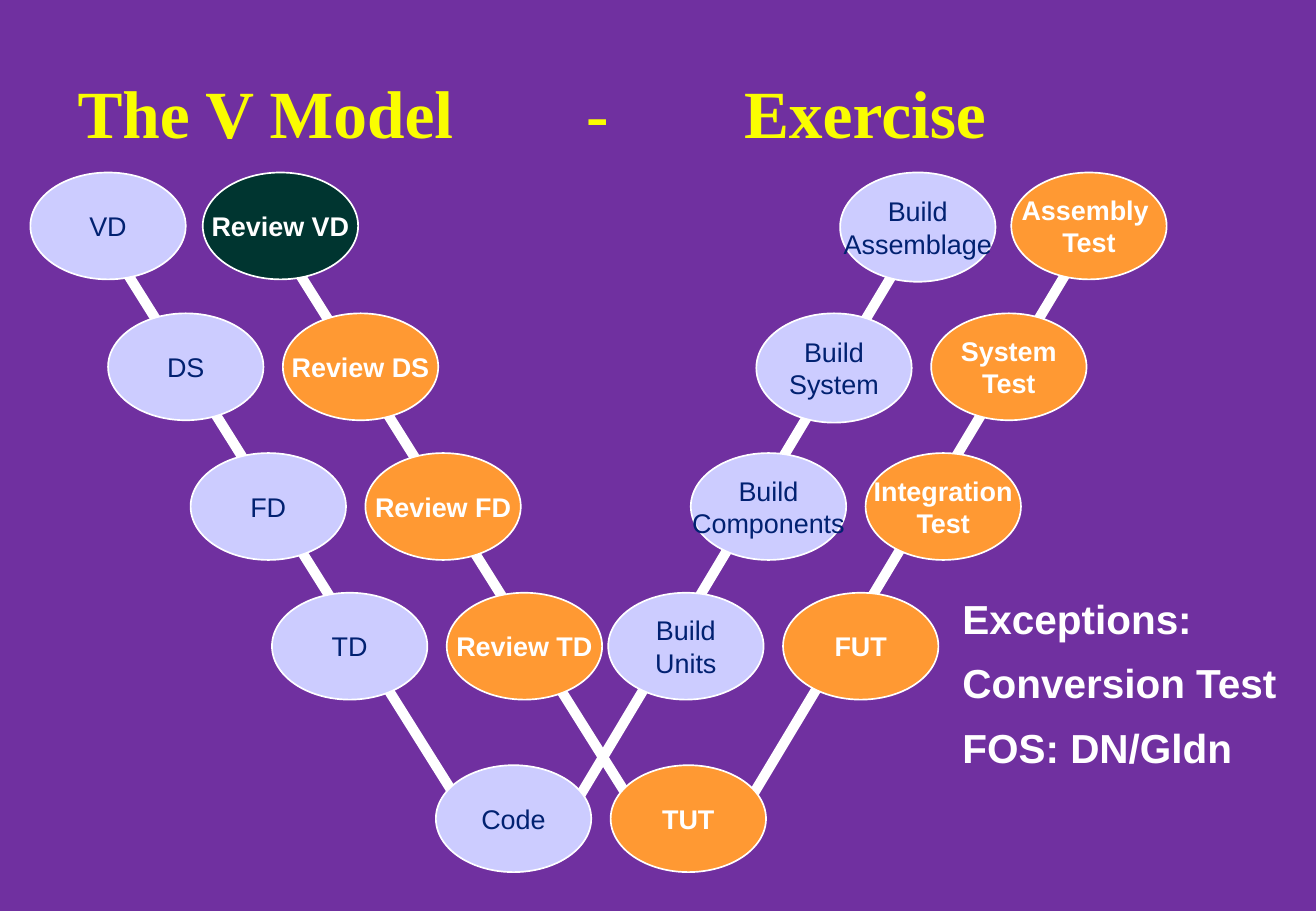
"""Build the V Model exercise slide."""
from dataclasses import dataclass

import lxml.etree
import pptx
import pptx.dml.color
import pptx.enum.shapes
import pptx.enum.text
import pptx.oxml.ns
import pptx.shapes.group
import pptx.slide
import pptx.text.text
import pptx.util

Inches = pptx.util.Inches
COLORS = {
    "background": "7030A0",
    "title": "FAFD00",
    "white": "FFFFFF",
    "build": "CCCCFF",
    "navy": "012171",
    "test": "FF9933",
    "review": "003530",
}
ROW_TOPS = (1.42, 2.58, 3.73, 4.88, 6.3)
STAGE_WIDTH, STAGE_HEIGHT, TALL_HEIGHT = 1.28, 0.88, 0.9


@dataclass
class Stage:
    label: str
    left: float
    row: int
    fill: str
    height: float = STAGE_HEIGHT


@dataclass
class Arm:
    start: tuple[float, float]
    end: tuple[float, float]


@dataclass
class VShape:
    arms: list[Arm]
    stages: list[Stage]
    text_color: str
    bold: bool


DEVELOPMENT = VShape(
    [Arm((0.89, 2), (3.89, 6.78)), Arm((7.46, 2.08), (4.64, 6.78))],
    [
        Stage("VD", 0.25, 0, "build"),
        Stage("DS", 0.89, 1, "build"),
        Stage("FD", 1.57, 2, "build"),
        Stage("TD", 2.24, 3, "build"),
        Stage("Code", 3.59, 4, "build"),
        Stage("Build\nUnits", 5.01, 3, "build"),
        Stage("Build\nComponents", 5.69, 2, "build"),
        Stage("Build\nSystem", 6.23, 1, "build", TALL_HEIGHT),
        Stage("Build\nAssemblage", 6.92, 0, "build", TALL_HEIGHT),
    ],
    "navy",
    False,
)
VERIFICATION = VShape(
    [Arm((2.2, 1.83), (5.31, 6.78)), Arm((8.83, 2.17), (6.06, 6.78))],
    [
        Stage("Review VD", 1.67, 0, "review"),
        Stage("Review DS", 2.33, 1, "test"),
        Stage("Review FD", 3.01, 2, "test"),
        Stage("Review TD", 3.68, 3, "test"),
        Stage("TUT", 5.03, 4, "test"),
        Stage("FUT", 6.45, 3, "test"),
        Stage("Integration\nTest", 7.13, 2, "test"),
        Stage("System\nTest", 7.67, 1, "test"),
        Stage("Assembly \nTest", 8.33, 0, "test"),
    ],
    "white",
    True,
)


def rgb(name: str) -> pptx.dml.color.RGBColor:
    """Return a palette colour."""
    return pptx.dml.color.RGBColor.from_string(COLORS[name])


def set_font(paragraph: pptx.text.text._Paragraph, typeface: str, size: int,
             color: str, bold: bool) -> None:
    """Set the font of a whole paragraph."""
    paragraph.font.name = typeface
    paragraph.font.size = pptx.util.Pt(size)
    paragraph.font.color.rgb = rgb(color)
    paragraph.font.bold = bold


def draw_arm(group: pptx.shapes.group.GroupShape, arm: Arm) -> None:
    """Draw one side of a V as a thick line."""
    connector = group.shapes.add_connector(
        pptx.enum.shapes.MSO_CONNECTOR.STRAIGHT,
        *(Inches(value) for value in (*arm.start, *arm.end)))
    connector.line.color.rgb = rgb("white")
    connector.line.width = pptx.util.Pt(6)
    lxml.etree.SubElement(connector._element.spPr, pptx.oxml.ns.qn("a:effectLst"))


def draw_stage(group: pptx.shapes.group.GroupShape, stage: Stage,
               text_color: str, bold: bool) -> None:
    """Draw one labelled ellipse."""
    shape = group.shapes.add_shape(
        pptx.enum.shapes.MSO_SHAPE.OVAL, Inches(stage.left),
        Inches(ROW_TOPS[stage.row]), Inches(STAGE_WIDTH), Inches(stage.height))
    shape.shadow.inherit = False
    shape.fill.solid()
    shape.fill.fore_color.rgb = rgb(stage.fill)
    shape.line.color.rgb = rgb("white")
    shape.line.width = pptx.util.Pt(1)
    shape.text_frame.text = stage.label
    shape.text_frame.word_wrap = False
    shape.text_frame.vertical_anchor = pptx.enum.text.MSO_ANCHOR.MIDDLE
    for paragraph in shape.text_frame.paragraphs:
        paragraph.alignment = pptx.enum.text.PP_ALIGN.CENTER
        set_font(paragraph, "Arial", 16, text_color, bold)


def draw_v(slide: pptx.slide.Slide, v_shape: VShape) -> None:
    """Draw a V with its stages in front of its arms."""
    group = slide.shapes.add_group_shape()
    for arm in v_shape.arms:
        draw_arm(group, arm)
    for stage in v_shape.stages:
        draw_stage(group, stage, v_shape.text_color, v_shape.bold)


def add_text(slide: pptx.slide.Slide, text: str, left: float, top: float,
             width: float, height: float) -> pptx.text.text.TextFrame:
    """Add a wrapping text box and return its text frame."""
    text_box = slide.shapes.add_textbox(
        Inches(left), Inches(top), Inches(width), Inches(height))
    text_box.text_frame.word_wrap = True
    text_box.text_frame.text = text
    return text_box.text_frame


def draw_title(slide: pptx.slide.Slide) -> None:
    """Draw the title with its parts set on tab stops."""
    frame = add_text(slide, "The V Model\t-\tExercise", 0.54, 0.58, 9.21, 0.67)
    frame.vertical_anchor = pptx.enum.text.MSO_ANCHOR.MIDDLE
    paragraph = frame.paragraphs[0]
    qn = pptx.oxml.ns.qn
    tab_list = lxml.etree.SubElement(paragraph._p.get_or_add_pPr(), qn("a:tabLst"))
    for position in (4.19, 5.49):
        lxml.etree.SubElement(tab_list, qn("a:tab"), pos=str(Inches(position)), algn="l")
    set_font(paragraph, "Times New Roman", 40, "title", True)


def draw_exceptions(slide: pptx.slide.Slide) -> None:
    """Draw the list of exceptions."""
    frame = add_text(slide, "Exceptions:\nConversion Test\nFOS: DN/Gldn",
                     7.83, 4.92, 3, 1.48)
    for paragraph in frame.paragraphs:
        paragraph.line_spacing = 0.8
        paragraph.space_before = pptx.util.Pt(15)
        set_font(paragraph, "Arial", 24, "white", True)


def main() -> None:
    """Create and save the presentation."""
    presentation = pptx.Presentation()
    presentation.slide_width = Inches(10.84)
    presentation.slide_height = Inches(7.5)
    slide = presentation.slides.add_slide(presentation.slide_layouts[6])
    slide.background.fill.solid()
    slide.background.fill.fore_color.rgb = rgb("background")
    draw_title(slide)
    for v_shape in (DEVELOPMENT, VERIFICATION):
        draw_v(slide, v_shape)
    draw_exceptions(slide)
    presentation.save("out.pptx")


if __name__ == "__main__":
    main()
